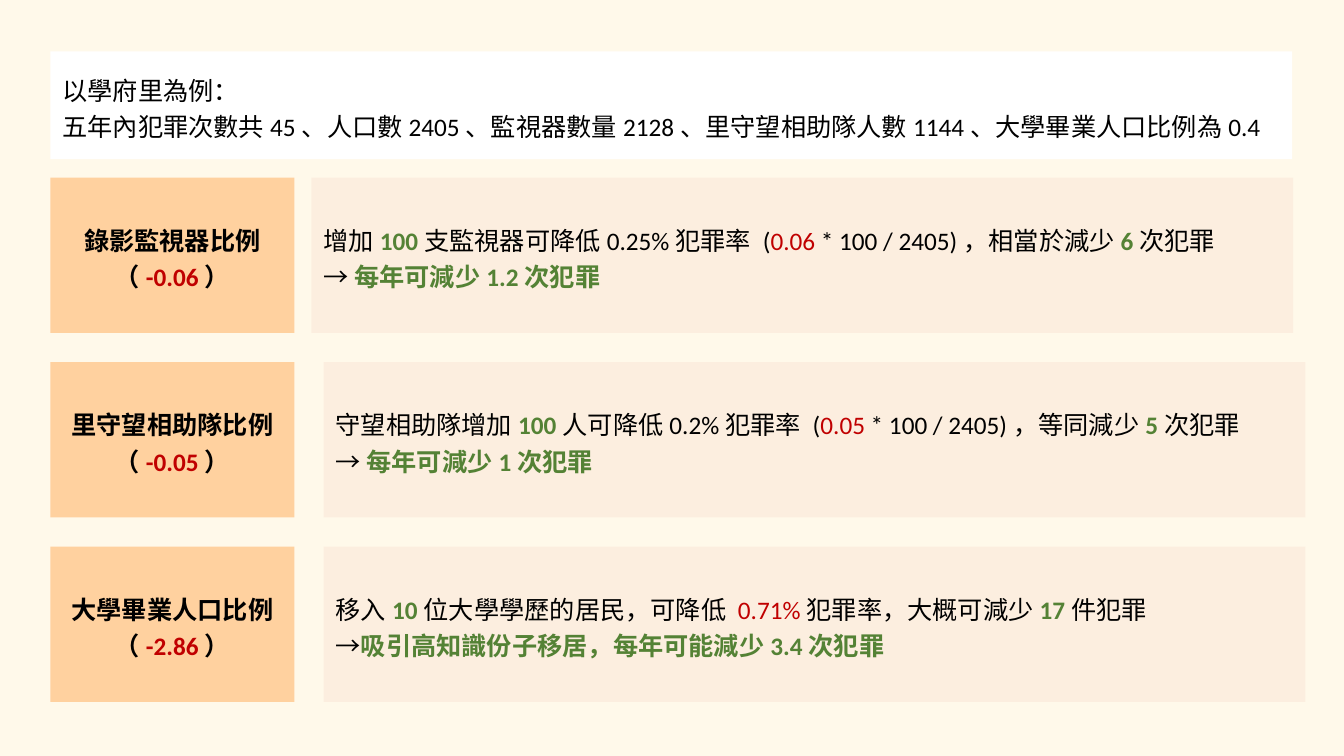
from dataclasses import dataclass
from typing import NamedTuple

import pptx
import pptx.dml.color
import pptx.enum.shapes
import pptx.enum.text
import pptx.oxml
import pptx.oxml.ns
import pptx.util


@dataclass(frozen=True)
class Theme:
    font: str = "Calibri"
    size: int = 18
    line_spacing: float = 1.2
    text: str = "000000"
    gain: str = "548235"
    rate: str = "C00000"
    background: str = "FFF2CC"
    background_opacity: int = 40
    intro: str = "FFFFFF"
    factor: str = "FFD19F"
    effect: str = "FBE5D6"
    effect_opacity: int = 50


THEME = Theme()
WIDTH = pptx.util.Inches(13.33)
HEIGHT = pptx.util.Inches(7.5)


class Area(NamedTuple):
    left: float
    top: float
    width: float
    height: float


class Span(NamedTuple):
    text: str
    color: str = THEME.text
    bold: bool = False


Line = list[Span]


@dataclass(frozen=True)
class Factor:
    name: str
    coefficient: str
    effect_left: float
    effect: list[Line]


MARGIN = 3.75
INTRO_AREA = Area(MARGIN, 6.8, 92.4, 14.27)
FIRST_ROW = 23.5
ROW_PITCH = 24.4
ROW_HEIGHT = 20.55
FACTOR_WIDTH = 18.15
EFFECT_WIDTH = 73.05


def gain(text: str) -> Span:
    return Span(text, THEME.gain, True)


def rate(text: str, bold: bool = False) -> Span:
    return Span(text, THEME.rate, bold)


INTRO = [
    [Span("以學府里為例：")],
    [Span("五年內犯罪次數共45、人口數2405、監視器數量2128、里守望相助隊人數1144、大學畢業人口比例為0.4")],
]

FACTORS = [
    Factor("錄影監視器比例", "-0.06", 23.17, [
        [Span("增加"), gain("100"), Span("支監視器可降低0.25%犯罪率 ("), rate("0.06"),
         Span(" * 100 / 2405)，相當於減少"), gain("6"), Span("次犯罪")],
        [Span("→ "), gain("每年可減少1.2次犯罪")],
    ]),
    Factor("里守望相助隊比例", "-0.05", 24.08, [
        [Span("守望相助隊增加"), gain("100"), Span("人可降低0.2%犯罪率 ("), rate("0.05"),
         Span(" * 100 / 2405)，等同減少"), gain("5"), Span("次犯罪")],
        [Span("→ "), gain("每年可減少1次犯罪")],
    ]),
    Factor("大學畢業人口比例", "-2.86", 24.08, [
        [Span("移入"), gain("10"), Span("位大學學歷的居民，可降低 "), rate("0.71%"),
         Span("犯罪率，大概可減少"), gain("17"), Span("件犯罪")],
        [Span("→"), gain("吸引高知識份子移居，每年可能減少3.4次犯罪")],
    ]),
]


def set_opacity(element, percent: int) -> None:
    color = next(element.iter(pptx.oxml.ns.qn("a:srgbClr")))
    alpha = pptx.oxml.parse_xml(
        f'<a:alpha {pptx.oxml.ns.nsdecls("a")} val="{percent * 1000}"/>')
    color.append(alpha)


def add_span(paragraph, text: str, *, color: str, bold: bool) -> None:
    run = paragraph.add_run()
    run.text = text
    run.font.name = THEME.font
    run.font.size = pptx.util.Pt(THEME.size)
    run.font.bold = bold
    run.font.color.rgb = pptx.dml.color.RGBColor.from_string(color)


def add_panel(slide, area: Area, lines: list[Line], fill: str, *,
              centered: bool = False, opacity: int = 100) -> None:
    panel = slide.shapes.add_shape(
        pptx.enum.shapes.MSO_SHAPE.RECTANGLE,
        round(WIDTH * area.left / 100), round(HEIGHT * area.top / 100),
        round(WIDTH * area.width / 100), round(HEIGHT * area.height / 100))
    panel.shadow.inherit = False
    panel.line.fill.background()
    panel.fill.solid()
    panel.fill.fore_color.rgb = pptx.dml.color.RGBColor.from_string(fill)
    if opacity < 100:
        set_opacity(panel.element, opacity)

    frame = panel.text_frame
    frame.word_wrap = True
    frame.vertical_anchor = pptx.enum.text.MSO_ANCHOR.MIDDLE
    frame.margin_left = frame.margin_right = pptx.util.Inches(0.12)
    frame.margin_top = frame.margin_bottom = pptx.util.Inches(0.04)
    align = pptx.enum.text.PP_ALIGN
    for index, line in enumerate(lines):
        paragraph = frame.add_paragraph() if index else frame.paragraphs[0]
        paragraph.alignment = align.CENTER if centered else align.LEFT
        paragraph.line_spacing = THEME.line_spacing
        for span in line:
            add_span(paragraph, span.text, color=span.color, bold=span.bold)


def add_factor(slide, row: int, factor: Factor) -> None:
    top = FIRST_ROW + row * ROW_PITCH
    label = [
        [Span(factor.name, bold=True)],
        [Span("（", bold=True), rate(factor.coefficient, bold=True), Span("）", bold=True)],
    ]
    add_panel(slide, Area(MARGIN, top, FACTOR_WIDTH, ROW_HEIGHT), label,
              THEME.factor, centered=True)
    add_panel(slide, Area(factor.effect_left, top, EFFECT_WIDTH, ROW_HEIGHT),
              factor.effect, THEME.effect, opacity=THEME.effect_opacity)


def main() -> None:
    deck = pptx.Presentation()
    deck.slide_width = WIDTH
    deck.slide_height = HEIGHT
    slide = deck.slides.add_slide(deck.slide_layouts.get_by_name("Blank"))
    backdrop = slide.background.fill
    backdrop.solid()
    backdrop.fore_color.rgb = pptx.dml.color.RGBColor.from_string(THEME.background)
    set_opacity(slide.element, THEME.background_opacity)

    add_panel(slide, INTRO_AREA, INTRO, THEME.intro)
    for row, factor in enumerate(FACTORS):
        add_factor(slide, row, factor)
    deck.save("out.pptx")


if __name__ == "__main__":
    main()
